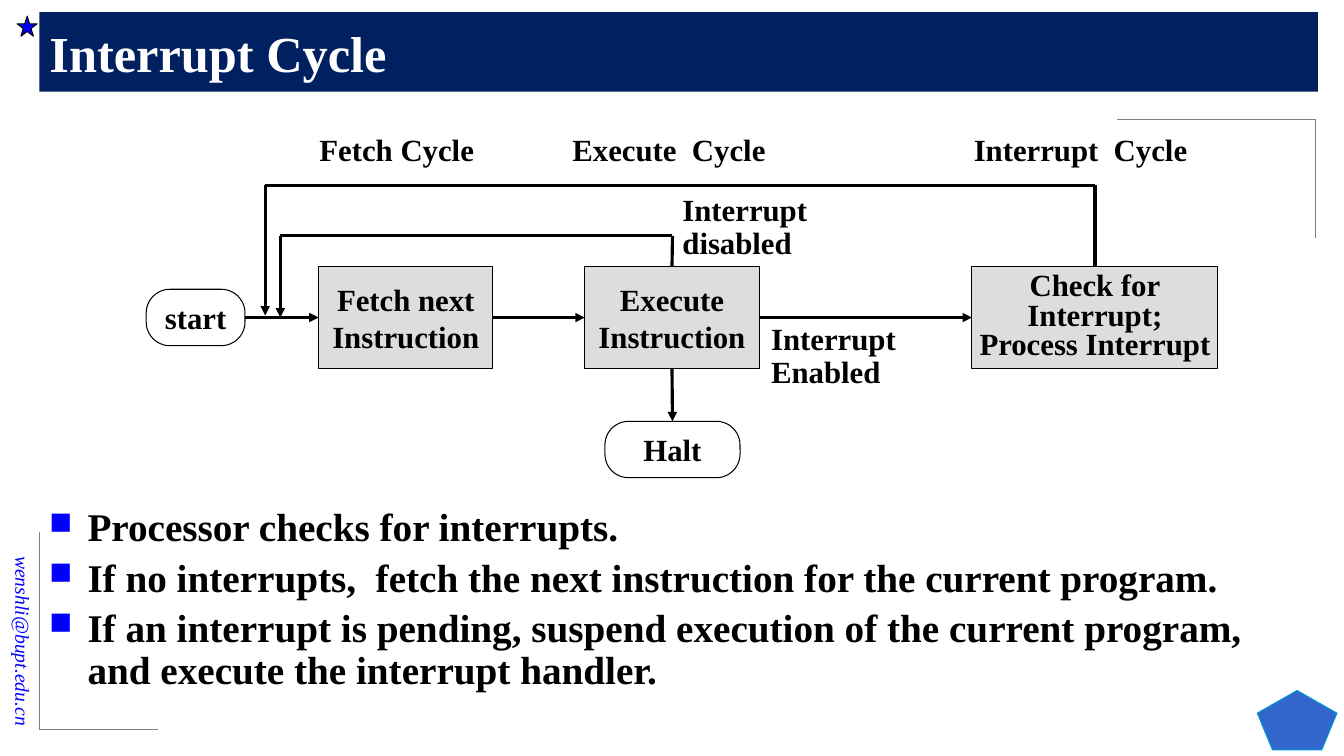
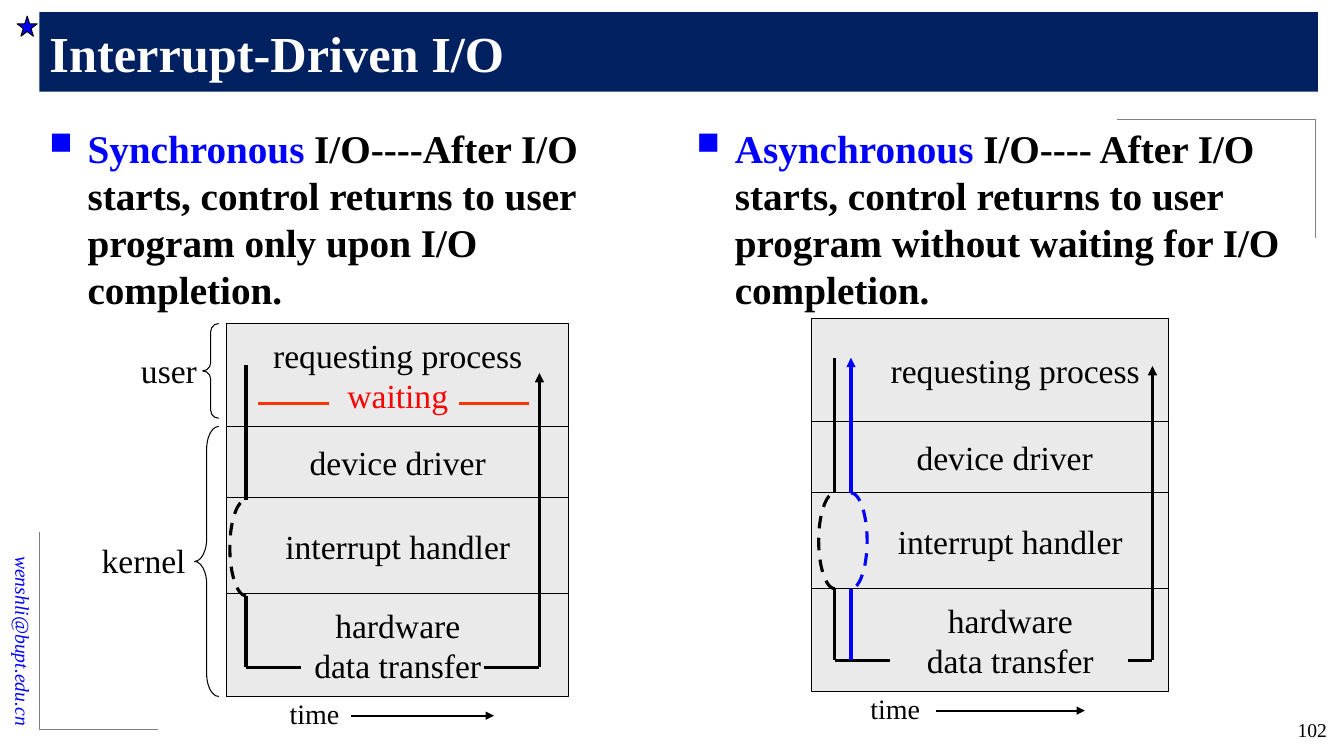
"""Build two slides on the interrupt cycle and interrupt-driven I/O."""
from lxml import etree
from pptx import Presentation
from pptx.dml.color import RGBColor
from pptx.enum.dml import MSO_LINE
from pptx.enum.shapes import MSO_CONNECTOR, MSO_SHAPE
from pptx.enum.text import MSO_ANCHOR, MSO_AUTO_SIZE, PP_ALIGN
from pptx.oxml.ns import qn
from pptx.util import Inches, Pt

FONT = "Times New Roman"
NAVY, BLUE, BLACK, WHITE = "002060", "0000FF", "000000", "FFFFFF"
GREY, SILVER, PALE, RED = "808080", "DDDDDD", "EAEAEA", "FF0000"
rgb = RGBColor.from_string


def box(slide, kind, at, words="", size=22, bold=False, fill=None,
        line=BLACK, ink=BLACK, align=PP_ALIGN.CENTER, lead=None):
    """Add a preset shape, or a text box when kind is None."""
    area = [Inches(v) for v in at]
    if kind is None:
        shape = slide.shapes.add_textbox(*area)
    else:
        shape = slide.shapes.add_shape(kind, *area)
        shape.shadow.inherit = False
        shape.line.color.rgb = rgb(line)
        shape.line.width = Pt(0.75)
        if fill:
            shape.fill.solid()
            shape.fill.fore_color.rgb = rgb(fill)
        else:
            shape.fill.background()
    if words:
        frame = shape.text_frame
        frame.text = words
        frame.word_wrap = False
        frame.vertical_anchor = MSO_ANCHOR.MIDDLE
        for para in frame.paragraphs:
            para.alignment = align
            para.line_spacing = lead
            para.font.name = FONT
            para.font.size = Pt(size)
            para.font.bold = bold
            para.font.color.rgb = rgb(ink)
    return shape


def wire(slide, dots, ink=BLACK, width=2.25, tip=False):
    """Add straight connectors through the dots, with an optional arrowhead."""
    lines = []
    for start, end in zip(dots, dots[1:]):
        ends = [Inches(v) for v in (*start, *end)]
        line = slide.shapes.add_connector(MSO_CONNECTOR.STRAIGHT, *ends)
        line.line.color.rgb = rgb(ink)
        line.line.width = Pt(width)
        etree.SubElement(line._element.spPr, qn("a:effectLst"))
        lines.append(line)
    if tip:
        etree.SubElement(lines[-1].line._get_or_add_ln(), qn("a:tailEnd"), type="triangle")
    return lines


deck = Presentation()
deck.slide_width, deck.slide_height = Inches(13.33), Inches(7.5)

for name in ("Interrupt Cycle", "Interrupt-Driven I/O"):
    slide = deck.slides.add_slide(deck.slide_layouts[5])
    title = slide.shapes.title
    title.left, title.top = Inches(0.39), Inches(0.12)
    title.width, title.height = Inches(12.68), Inches(0.79)
    title.fill.solid()
    title.fill.fore_color.rgb = rgb(NAVY)
    title.text_frame.text = name
    title.text_frame.auto_size = MSO_AUTO_SIZE.NONE
    title.text_frame.vertical_anchor = MSO_ANCHOR.MIDDLE
    para = title.text_frame.paragraphs[0]
    para.alignment = PP_ALIGN.LEFT
    para.font.name, para.font.size, para.font.bold = FONT, Pt(36), True
    para.font.color.rgb = rgb(WHITE)
    wire(slide, [(0.39, 5.28), (0.39, 7.24), (1.57, 7.24)], GREY, 0.5)
    wire(slide, [(11.08, 1.18), (13.05, 1.18), (13.05, 2.36)], GREY, 0.5)
    box(slide, MSO_SHAPE.STAR_5_POINT, (0.17, 0.16, 0.2, 0.2), fill=BLUE)
    mail = box(slide, None, (-1.09, 5.81, 2.64, 0.34), "wenshli@bupt.edu.cn", 14,
               ink=BLUE, align=PP_ALIGN.RIGHT)
    mail.rotation = 90
    mail.text_frame.paragraphs[0].font.italic = True

cycle, driven = deck.slides

bodies = [
    (cycle, (0.39, 4.99, 12.64, 2.26), 0.9, [
        ("", "Processor checks for interrupts."),
        ("", "If no interrupts,  fetch the next instruction for the current program."),
        ("", "If an interrupt is pending, suspend execution of the current program, "
             "and execute the interrupt handler.")]),
    (driven, (0.39, 1.18, 6.22, 2), 1.0, [
        ("Synchronous", " I/O----After I/O starts, control returns to user program "
                        "only upon I/O completion.")]),
    (driven, (6.81, 1.18, 6.22, 2), 1.0, [
        ("Asynchronous", " I/O---- After I/O starts, control returns to user program "
                         "without waiting for I/O completion.")]),
]
for slide, at, lead, points in bodies:
    frame = box(slide, None, at).text_frame
    frame.word_wrap = True
    for i, (key, rest) in enumerate(points):
        para = frame.add_paragraph() if i else frame.paragraphs[0]
        props = para._p.get_or_add_pPr()
        props.set("marL", str(Inches(0.38)))
        props.set("indent", str(-Inches(0.38)))
        tint = etree.SubElement(props, qn("a:buClr"))
        etree.SubElement(tint, qn("a:srgbClr"), val=BLUE)
        etree.SubElement(props, qn("a:buSzPct"), val="80000")
        etree.SubElement(props, qn("a:buChar"), char="■")
        para.line_spacing = lead
        para.space_before = Pt(5.6 if i else 0)
        para.font.name, para.font.size, para.font.bold = FONT, Pt(28), True
        para.font.color.rgb = rgb(BLACK)
        if key:
            run = para.add_run()
            run.text = key
            run.font.color.rgb = rgb(BLUE)
        para.add_run().text = rest

nodes = {}
for name, kind, at, words, fill, lead in [
    ("start", MSO_SHAPE.ROUNDED_RECTANGLE, (1.45, 2.87, 0.98, 0.56), "start", None, None),
    ("fetch", MSO_SHAPE.RECTANGLE, (3.16, 2.64, 1.73, 1.02), "Fetch next\nInstruction", SILVER, None),
    ("run", MSO_SHAPE.RECTANGLE, (5.8, 2.64, 1.73, 1.02), "Execute\nInstruction", SILVER, None),
    ("check", MSO_SHAPE.RECTANGLE, (9.64, 2.64, 2.44, 1.02),
     "Check for\nInterrupt;\nProcess Interrupt", SILVER, 0.8),
    ("halt", MSO_SHAPE.ROUNDED_RECTANGLE, (6, 4.18, 1.34, 0.56), "Halt", None, None),
]:
    node = box(cycle, kind, at, words, bold=True, fill=fill, lead=lead)
    if kind == MSO_SHAPE.ROUNDED_RECTANGLE:
        node.adjustments[0] = 0.42
    nodes[name] = node

for head, side, tail, port in [("start", 3, "fetch", 1), ("fetch", 3, "run", 1),
                               ("run", 3, "check", 1), ("run", 2, "halt", 0)]:
    link = wire(cycle, [(0, 0), (1, 1)], tip=True)[0]
    link.begin_connect(nodes[head], side)
    link.end_connect(nodes[tail], port)

for name, x, top, back, low in [("run", 6.67, 2.34, 2.78, 3.15),
                                ("check", 10.86, 1.84, 2.63, 3.13)]:
    loop = wire(cycle, [(x, 2.64), (x, top), (back, top), (back, low)], tip=True)
    loop[0].begin_connect(nodes[name], 0)

for at, words, lead in [
    ((3.07, 1.24, 1.75, 0.47), "Fetch Cycle", None),
    ((5.58, 1.24, 2.14, 0.47), "Execute  Cycle", None),
    ((9.56, 1.24, 2.34, 0.47), "Interrupt  Cycle", None),
    ((6.67, 1.88, 1.45, 0.77), "Interrupt\ndisabled", 0.9),
    ((7.55, 3.16, 1.45, 0.77), "Interrupt\nEnabled", 0.9),
]:
    box(cycle, None, at, words, bold=True, align=PP_ALIGN.LEFT, lead=lead)
box(cycle, MSO_SHAPE.REGULAR_PENTAGON, (12.47, 6.85, 0.79, 0.59), fill="3366CC", line="0099CC")

layers = [("requesting process", 1.02), ("device driver", 0.71),
          ("interrupt handler", 0.95), ("hardware\ndata transfer", 1.02)]
stacks = [
    (2.25, 3.21, 3.39, (0, 0, 0, 0), "\nwaiting", 2.77, (3.48, 4.9)),
    (8.05, 3.16, 3.54, (0.5, 0.29, 0.4, 0.4), "", 8.53, (9.28, 10.76)),
]
for x, top, width, shifts, extra, label, span in stacks:
    y = top
    for (words, tall), shift, more in zip(layers, shifts, (extra, "", "", "")):
        layer = box(driven, MSO_SHAPE.RECTANGLE, (x, y, width, tall), words + more, 24, fill=PALE)
        for para in layer.text_frame.paragraphs:
            para._p.get_or_add_pPr().set("marL", str(Inches(shift)))
            if para.text == "waiting":
                para.font.color.rgb = rgb(RED)
        y += tall
    box(driven, None, (label, top + 3.65, 0.7, 0.44), "time", 20)
    wire(driven, [(v, top + 3.89) for v in span], width=1.5, tip=True)

for x in (2.56, 4.55):
    wire(driven, [(x, 4), (x + 0.7, 4)], "FF3300")
for at, words, brace, curl in [
    ((1.3, 3.42, 0.76, 0.5), "user", (2.01, 3.21, 0.16, 0.94), 0.5),
    ((0.91, 5.31, 1.03, 0.5), "kernel", (1.93, 4.23, 0.24, 2.68), 0.94),
]:
    box(driven, None, at, words, 24, align=PP_ALIGN.LEFT)
    box(driven, MSO_SHAPE.LEFT_BRACE, brace).adjustments[0] = curl

left, right = (54, 162), (162, 54)
for x, top, ink, turn, foot in [(2.44, 3.23, BLACK, left, 0.55),
                                (8.28, 3.16, BLACK, left, 0.55),
                                (8.44, 3.16, BLUE, right, 0)]:
    wire(driven, [(x, top + 1.73), (x, top + 0.39)], ink, tip=ink == BLUE)
    arc = box(driven, MSO_SHAPE.ARC, (x - 0.16, top + 1.73, 0.32, 0.95), line=ink)
    arc.adjustments[0], arc.adjustments[1] = turn
    arc.line.width = Pt(2.25)
    arc.line.dash_style = MSO_LINE.DASH
    path = [(x, top + 2.68), (x, top + 3.39)]
    if foot:
        path.append((x + foot, top + 3.39))
    wire(driven, path, ink)
for start, x, top in [(4.8, 5.35, 3.23), (11.19, 11.43, 3.16)]:
    wire(driven, [(start, top + 3.39), (x, top + 3.39), (x, top + 0.47)], tip=True)
box(driven, None, (12.15, 7.06, 1.11, 0.36), "102", 14, align=PP_ALIGN.RIGHT)

deck.save("out.pptx")
